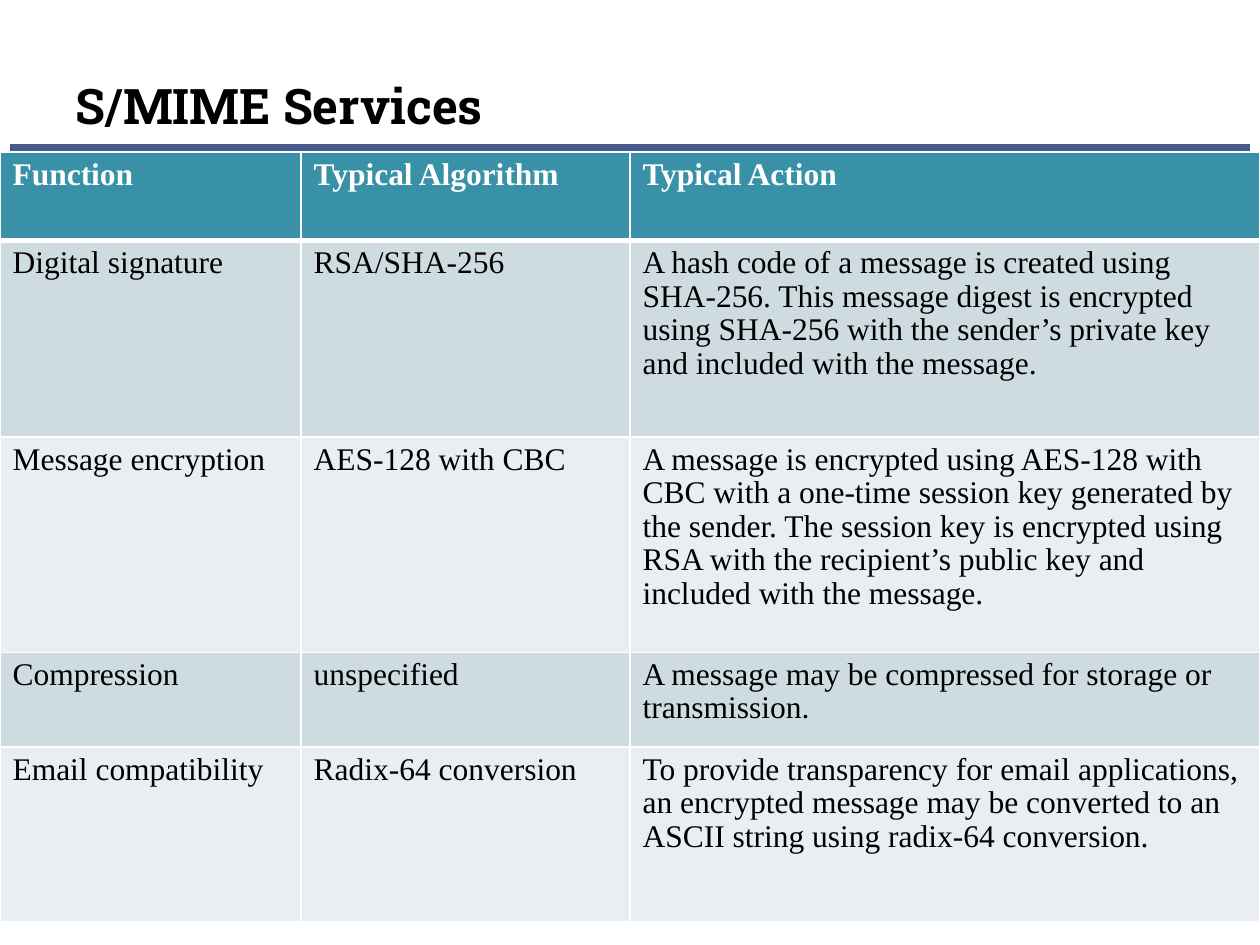
from lxml import etree
from pptx import Presentation
from pptx.dml.color import RGBColor
from pptx.enum.shapes import MSO_CONNECTOR
from pptx.enum.text import MSO_ANCHOR, MSO_AUTO_SIZE, PP_ALIGN
from pptx.oxml.ns import qn
from pptx.util import Cm, Pt

STRAIGHT = MSO_CONNECTOR.STRAIGHT
BOTTOM = MSO_ANCHOR.BOTTOM
LEFT = PP_ALIGN.LEFT
NO_AUTOSIZE = MSO_AUTO_SIZE.NONE

BLACK = RGBColor(0x00, 0x00, 0x00)
WHITE = RGBColor(0xFF, 0xFF, 0xFF)
NAVY = RGBColor(0x47, 0x5A, 0x8D)
TEAL = RGBColor(0x38, 0x91, 0xA7)
DARK_BAND = RGBColor(0xCE, 0xDC, 0xE1)
LIGHT_BAND = RGBColor(0xE8, 0xEE, 0xF1)

TITLE_ONLY = 5
COLUMN_WIDTHS = [6.07, 6.63, 12.7]
ROW_HEIGHTS = [1.78, 3.96, 4.34, 1.91, 3.53]
SERVICES = [
    ["Function", "Typical Algorithm", "Typical Action"],
    ["Digital signature", "RSA/SHA-256",
     "A hash code of a message is created using SHA-256. This message digest "
     "is encrypted using SHA-256 with the sender’s private key and included "
     "with the message."],
    ["Message encryption", "AES-128 with CBC",
     "A message is encrypted using AES-128 with CBC with a one-time session "
     "key generated by the sender. The session key is encrypted using RSA "
     "with the recipient’s public key and included with the message."],
    ["Compression", "unspecified",
     "A message may be compressed for storage or transmission."],
    ["Email compatibility", "Radix-64 conversion",
     "To provide transparency for email applications, an encrypted message "
     "may be converted to an ASCII string using radix-64 conversion."],
]


class SlideBuilder:
    title_font = "Roboto Slab"
    table_font = "Times New Roman"
    line_spacing = 0.96

    def __init__(self, slide):
        self.slide = slide

    def format_text(self, frame, font_name, size, color, bold):
        for para in frame.paragraphs:
            para.alignment = LEFT
            for span in para.runs:
                span.font.name = font_name
                span.font.size = Pt(size)
                span.font.color.rgb = color
                span.font.bold = bold

    def title(self, text, left, top, width, height):
        box = self.slide.shapes.title
        box.left, box.top = Cm(left), Cm(top)
        box.width, box.height = Cm(width), Cm(height)
        frame = box.text_frame
        frame.text = text
        frame.auto_size = NO_AUTOSIZE
        frame.vertical_anchor = BOTTOM
        self.format_text(frame, self.title_font, 28, BLACK, True)

    def rule(self, left, right, y, color, weight):
        """Draw a horizontal line without a shadow."""
        line = self.slide.shapes.add_connector(
            STRAIGHT, Cm(left), Cm(y), Cm(right), Cm(y))
        line.line.color.rgb = color
        line.line.width = Pt(weight)
        etree.SubElement(line._element.spPr, qn("a:effectLst"))

    def cell_borders(self, cell, top, bottom):
        """Give a cell white edges; top and bottom are weights in points."""
        properties = cell._tc.get_or_add_tcPr()
        weights = {"a:lnL": 1, "a:lnR": 1, "a:lnT": top, "a:lnB": bottom}
        for tag, weight in weights.items():
            edge = etree.SubElement(properties, qn(tag), w=str(Pt(weight)))
            fill = etree.SubElement(edge, qn("a:solidFill"))
            etree.SubElement(fill, qn("a:srgbClr"), val=str(WHITE))

    def table(self, rows, left, top, widths, heights):
        table = self.slide.shapes.add_table(
            len(rows), len(widths), Cm(left), Cm(top),
            Cm(sum(widths)), Cm(sum(heights))).table
        for column, width in zip(table.columns, widths):
            column.width = Cm(width)
        for number, (row, height) in enumerate(zip(rows, heights)):
            table.rows[number].height = Cm(height)
            header = number == 0
            band = DARK_BAND if number % 2 else LIGHT_BAND
            for cell, text in zip(table.rows[number].cells, row):
                self.cell_borders(cell, top=3 if number == 1 else 1,
                                  bottom=3 if header else 1)
                cell.fill.solid()
                cell.fill.fore_color.rgb = TEAL if header else band
                cell.text_frame.text = text
                cell.text_frame.paragraphs[0].line_spacing = self.line_spacing
                self.format_text(cell.text_frame, self.table_font, 18,
                                 WHITE if header else BLACK, header)


def main():
    deck = Presentation()
    deck.slide_width, deck.slide_height = Cm(25.4), Cm(19.05)
    slide = deck.slides.add_slide(deck.slide_layouts[TITLE_ONLY])
    builder = SlideBuilder(slide)
    builder.rule(0.2, 25.2, 2.97, NAVY, 4)
    builder.title("S/MIME Services", 1.27, 0.86, 22.86, 1.98)
    builder.table(SERVICES, 0, 3.07, COLUMN_WIDTHS, ROW_HEIGHTS)
    deck.save("out.pptx")


if __name__ == "__main__":
    main()
